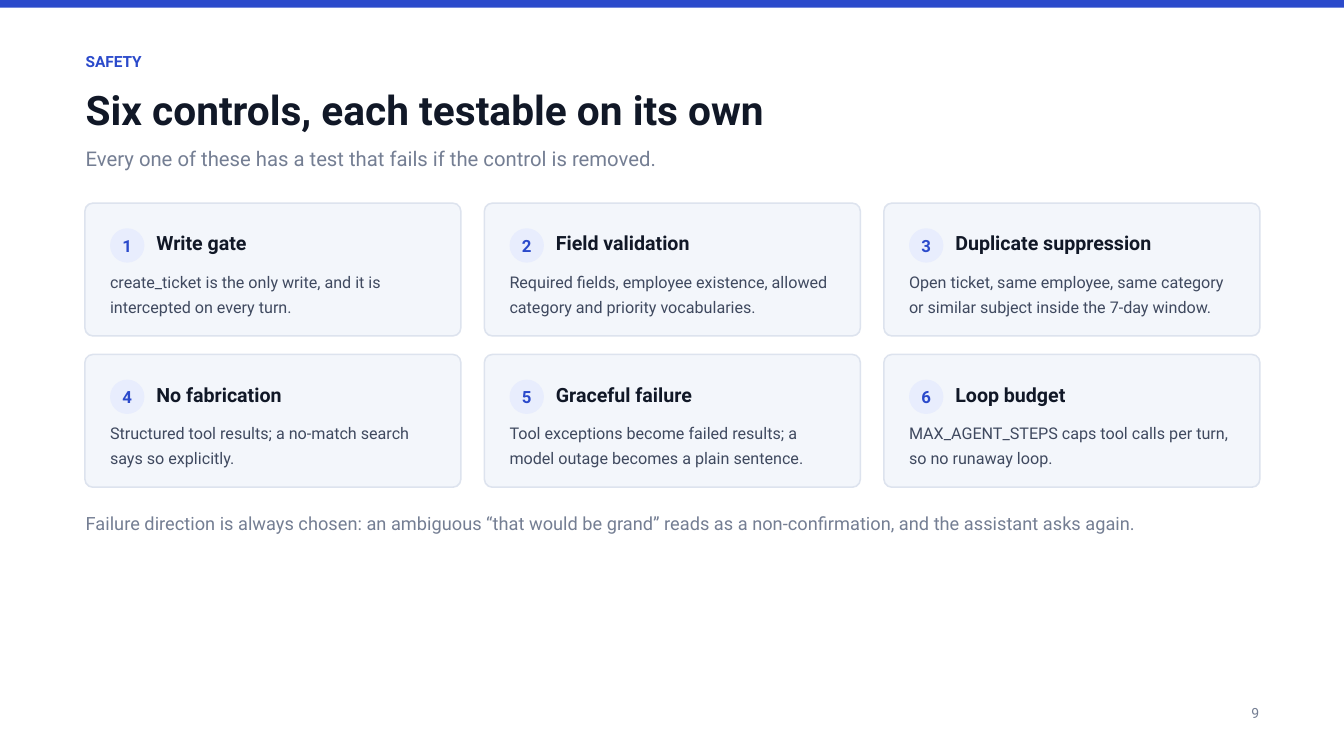
from pptx import Presentation
from pptx.dml.color import RGBColor
from pptx.enum.shapes import MSO_SHAPE
from pptx.enum.text import MSO_ANCHOR, PP_ALIGN
from pptx.util import Cm, Pt

RECTANGLE = MSO_SHAPE.RECTANGLE
ROUNDED = MSO_SHAPE.ROUNDED_RECTANGLE
OVAL = MSO_SHAPE.OVAL
MIDDLE = MSO_ANCHOR.MIDDLE
LEFT, CENTER, RIGHT = PP_ALIGN.LEFT, PP_ALIGN.CENTER, PP_ALIGN.RIGHT

FONT = "Roboto"
BLUE = RGBColor(0x2B, 0x4A, 0xCB)
PALE_BLUE = RGBColor(0xE8, 0xED, 0xFD)
INK = RGBColor(0x11, 0x18, 0x27)
SLATE = RGBColor(0x3F, 0x49, 0x5F)
GRAY = RGBColor(0x74, 0x7E, 0x93)
CARD_FILL = RGBColor(0xF3, 0xF6, 0xFB)
CARD_LINE = RGBColor(0xDD, 0xE3, 0xEE)

# Lengths in centimetres
SLIDE_WIDTH, SLIDE_HEIGHT = 50.8, 28.58
MARGIN, CONTENT_WIDTH = 3.24, 44.35
GRID_LEFT, GRID_TOP = 3.21, 7.68
CARD_WIDTH, CARD_HEIGHT = 14.21, 5.02
COLUMN_STEP, ROW_STEP = 15.1, 5.72
COLUMNS = 3
PADDING = 0.95
BADGE_SIZE = 1.3

CONTROLS = [
    ("Write gate",
     "create_ticket is the only write, and it is intercepted on every turn."),
    ("Field validation",
     "Required fields, employee existence, allowed category and priority vocabularies."),
    ("Duplicate suppression",
     "Open ticket, same employee, same category or similar subject inside the 7-day window."),
    ("No fabrication",
     "Structured tool results; a no-match search says so explicitly."),
    ("Graceful failure",
     "Tool exceptions become failed results; a model outage becomes a plain sentence."),
    ("Loop budget",
     "MAX_AGENT_STEPS caps tool calls per turn, so no runaway loop."),
]


def write_text(shape, text, size, spacing, color, bold=False, align=LEFT):
    frame = shape.text_frame
    frame.word_wrap = True
    frame.margin_left = frame.margin_right = 0
    frame.margin_top = frame.margin_bottom = 0
    paragraph = frame.paragraphs[0]
    paragraph.text = text
    paragraph.alignment = align
    paragraph.line_spacing = Pt(spacing)
    font = paragraph.font
    font.name, font.size, font.bold = FONT, Pt(size), bold
    font.color.rgb = color


def add_text(slide, left, top, width, height, *text_style, **options):
    box = slide.shapes.add_textbox(Cm(left), Cm(top), Cm(width), Cm(height))
    write_text(box, *text_style, **options)


def add_panel(slide, kind, left, top, width, height, fill, line=None):
    shape = slide.shapes.add_shape(kind, Cm(left), Cm(top), Cm(width), Cm(height))
    shape.shadow.inherit = False
    shape.fill.solid()
    shape.fill.fore_color.rgb = fill
    if line is None:
        shape.line.fill.background()
    else:
        shape.line.color.rgb = line
        shape.line.width = Pt(1.65)
    return shape


def add_badge(slide, left, top, number):
    badge = add_panel(slide, OVAL, left, top, BADGE_SIZE, BADGE_SIZE, PALE_BLUE)
    write_text(badge, str(number), 18, 23.8, BLUE, bold=True, align=CENTER)
    badge.text_frame.vertical_anchor = MIDDLE
    badge.text_frame.margin_bottom = Cm(0.08)  # lifts the digit slightly


def add_card(slide, left, top, number, title, body):
    card = add_panel(slide, ROUNDED, left, top, CARD_WIDTH, CARD_HEIGHT,
                     CARD_FILL, CARD_LINE)
    card.adjustments[0] = 0.06
    add_badge(slide, left + PADDING, top + PADDING, number)
    add_text(slide, left + 2.7, top + 0.81, 10.52, 1.35,
             title, 21, 32.3, INK, bold=True)
    add_text(slide, left + PADDING, top + 2.41, 12.24, 2.31,
             body, 17.25, 26.5, SLATE)


def main():
    presentation = Presentation()
    presentation.slide_width = Cm(SLIDE_WIDTH)
    presentation.slide_height = Cm(SLIDE_HEIGHT)
    slide = presentation.slides.add_slide(presentation.slide_layouts[6])

    # Top bar and headings
    add_panel(slide, RECTANGLE, 0, 0, SLIDE_WIDTH, 0.29, BLUE)
    add_text(slide, MARGIN, 1.78, CONTENT_WIDTH, 1.35,
             "SAFETY", 16.5, 25.4, BLUE, bold=True)
    add_text(slide, MARGIN, 2.7, CONTENT_WIDTH, 2.51,
             "Six controls, each testable on its own", 43.5, 66.9, INK, bold=True)
    add_text(slide, MARGIN, 5.28, 40.54, 1.75,
             "Every one of these has a test that fails if the control is removed.",
             21.75, 33.4, GRAY)

    # Grid of controls
    for index, (title, body) in enumerate(CONTROLS):
        row, column = divmod(index, COLUMNS)
        add_card(slide, GRID_LEFT + column * COLUMN_STEP,
                 GRID_TOP + row * ROW_STEP, index + 1, title, body)

    # Closing remark and page number
    add_text(slide, MARGIN, 19.13, CONTENT_WIDTH, 1.73,
             "Failure direction is always chosen: an ambiguous “that would be grand” "
             "reads as a non-confirmation, and the assistant asks again.",
             19.5, 30, GRAY)
    add_text(slide, 43.03, 26.44, 4.57, 1.32, "9", 15, 23.1, GRAY, align=RIGHT)

    presentation.save("out.pptx")


if __name__ == "__main__":
    main()
